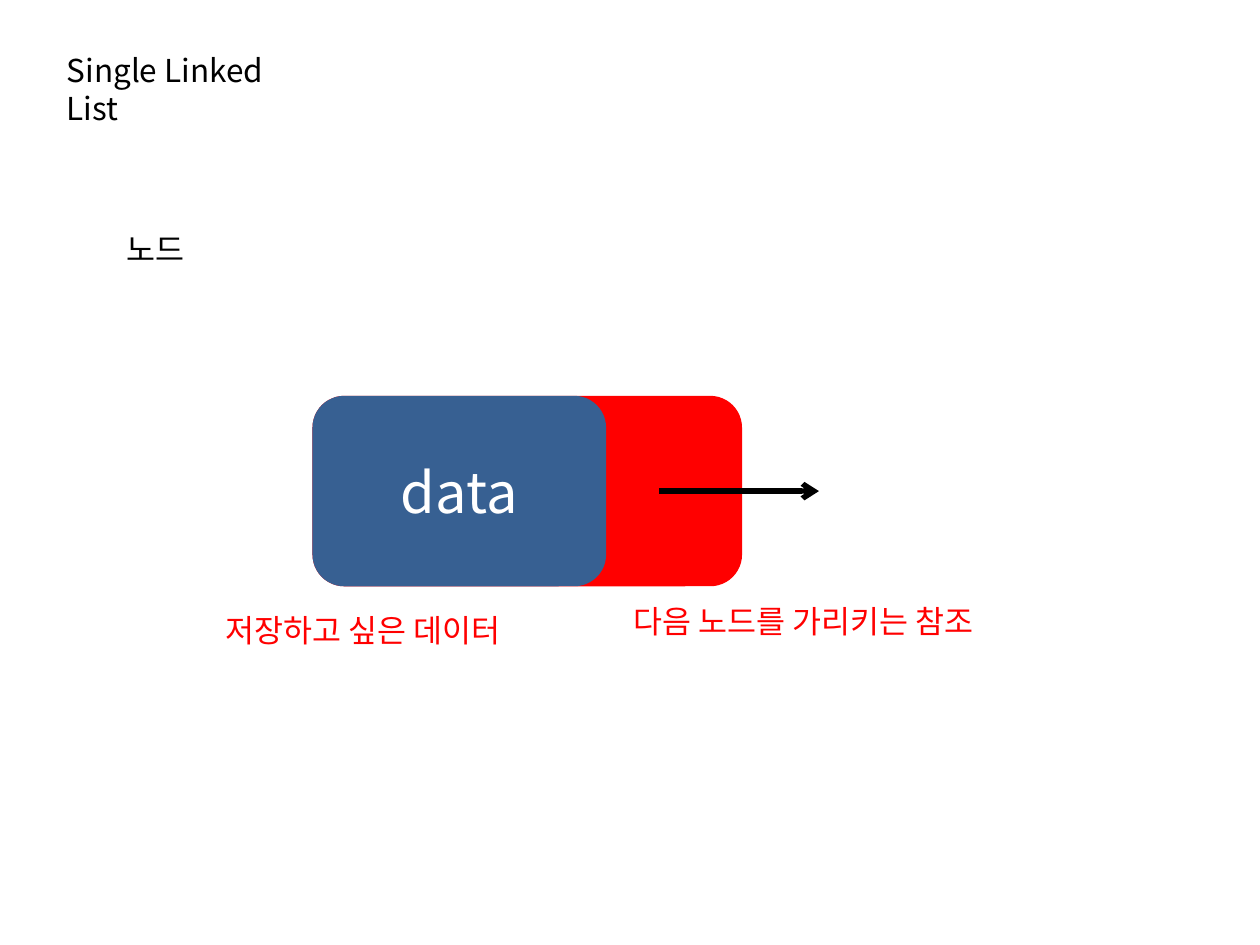
import dataclasses

import pptx
import pptx.dml.color
import pptx.enum.shapes
import pptx.enum.text
import pptx.oxml.ns
import pptx.util
from lxml import etree

Cm = pptx.util.Cm
Align = pptx.enum.text.PP_ALIGN
Anchor = pptx.enum.text.MSO_ANCHOR


@dataclasses.dataclass(frozen=True)
class Theme:
    """Colours, font and type sizes of the slide."""
    font: str = "Noto Sans CJK KR"
    text: str = "000000"
    accent: str = "FF0000"
    data: str = "376092"
    light: str = "FFFFFF"
    body_size: int = 18
    data_size: int = 32
    arrow_width: int = 3


THEME = Theme()


def rgb(color):
    """Return the colour object for a hexadecimal string."""
    return pptx.dml.color.RGBColor.from_string(color)


def write(shape, text, color, size=THEME.body_size, align=Align.LEFT, anchor=Anchor.TOP, wrap=False):
    """Set and format the single paragraph of a shape."""
    frame = shape.text_frame
    frame.text = text
    frame.word_wrap = wrap
    frame.auto_size = pptx.enum.text.MSO_AUTO_SIZE.NONE
    frame.vertical_anchor = anchor
    paragraph = frame.paragraphs[0]
    paragraph.alignment = align
    font = paragraph.runs[0].font
    font.size = pptx.util.Pt(size)
    font.color.rgb = rgb(color)
    font.name = THEME.font
    properties = paragraph.runs[0]._r.get_or_add_rPr()
    etree.SubElement(properties, pptx.oxml.ns.qn("a:ea"), typeface=THEME.font)


def place_title(slide, text, left, top, width, height):
    """Move the title placeholder into the box and fill it."""
    title = slide.shapes.title
    title.left, title.top, title.width, title.height = map(Cm, (left, top, width, height))
    write(title, text, THEME.text, wrap=True)


def add_label(slide, text, color, left, top, width, height=1.02):
    """Add a one-line label in the box."""
    label = slide.shapes.add_textbox(Cm(left), Cm(top), Cm(width), Cm(height))
    write(label, text, color)


def add_block(group, color, left, top, width, height):
    """Add a plain rounded rectangle to the group."""
    block = group.shapes.add_shape(
        pptx.enum.shapes.MSO_SHAPE.ROUNDED_RECTANGLE, Cm(left), Cm(top), Cm(width), Cm(height))
    block.shadow.inherit = False
    block.fill.solid()
    block.fill.fore_color.rgb = rgb(color)
    block.line.fill.background()
    return block


def add_arrow(group, start, end, y):
    """Add a horizontal arrow to the group."""
    arrow = group.shapes.add_connector(
        pptx.enum.shapes.MSO_CONNECTOR.STRAIGHT, Cm(start), Cm(y), Cm(end), Cm(y))
    arrow.line.color.rgb = rgb(THEME.text)
    arrow.line.width = pptx.util.Pt(THEME.arrow_width)
    etree.SubElement(arrow.line._get_or_add_ln(), pptx.oxml.ns.qn("a:tailEnd"), type="arrow")
    etree.SubElement(arrow._element.spPr, pptx.oxml.ns.qn("a:effectLst"))


def add_node(slide, left, top, width, height):
    """Draw a list node with its data part and its outgoing reference."""
    group = slide.shapes.add_group_shape()
    data_width = 5.92
    add_block(group, THEME.accent, left, top, width, height)
    data = add_block(group, THEME.data, left, top, data_width, height)
    write(data, "data", THEME.light, THEME.data_size, Align.CENTER, Anchor.MIDDLE, True)
    arrow_start = left + data_width + 1.06
    add_arrow(group, arrow_start, arrow_start + 3.23, top + height / 2)


def main():
    """Build and save the slide."""
    presentation = pptx.Presentation()
    presentation.slide_width = Cm(25.4)
    presentation.slide_height = Cm(19.05)
    slide = presentation.slides.add_slide(presentation.slide_layouts[5])
    place_title(slide, "Single Linked List", 1.09, 0.91, 5.56, 1.02)
    add_node(slide, 6.3, 7.98, 8.66, 3.84)
    add_label(slide, "저장하고 싶은 데이터", THEME.accent, 4.29, 12.19, 6.96)
    add_label(slide, "다음 노드를 가리키는 참조", THEME.accent, 12.52, 12.01, 8.26)
    add_label(slide, "노드", THEME.text, 2.31, 4.52, 1.8)
    presentation.save("out.pptx")


if __name__ == "__main__":
    main()
